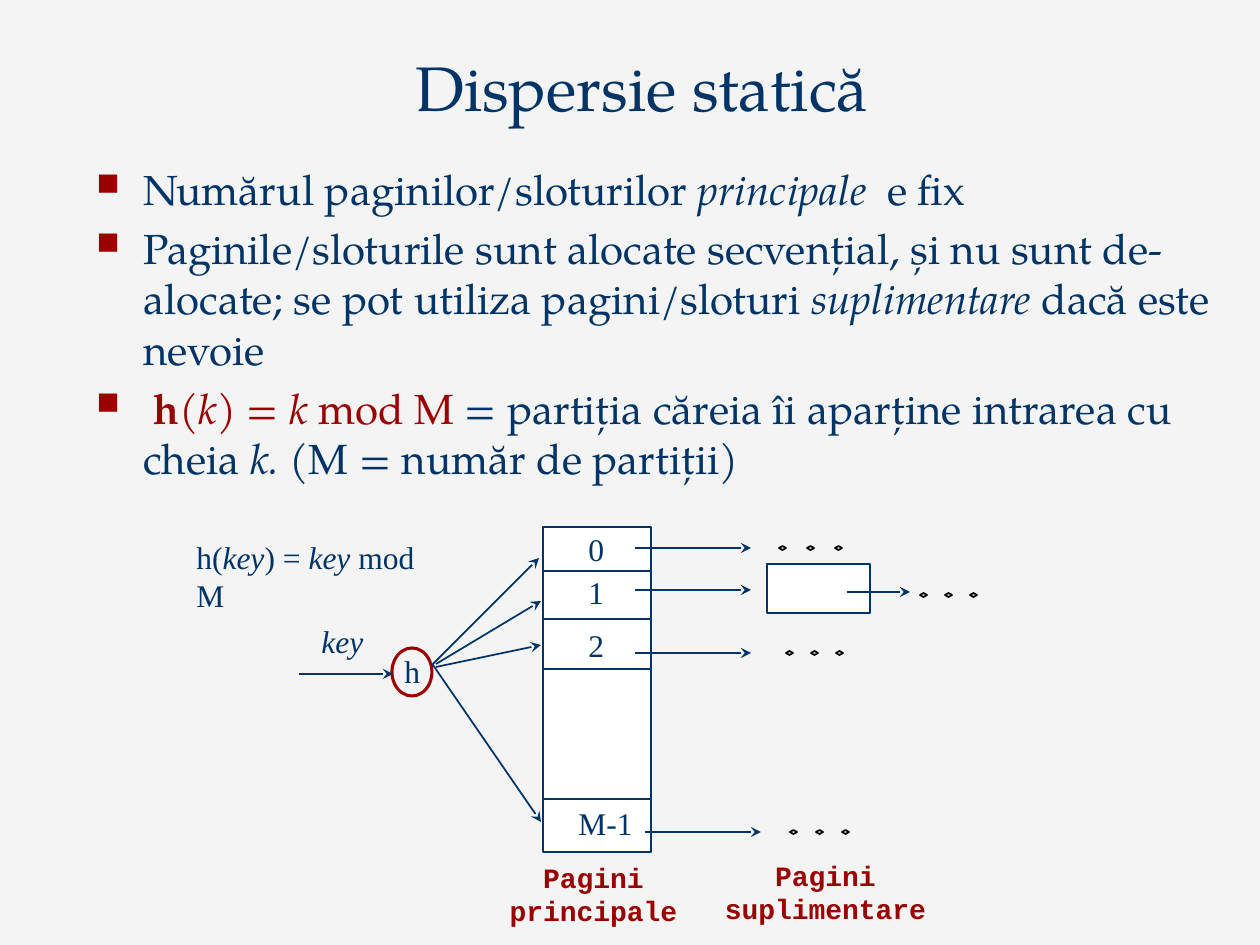
from lxml.etree import SubElement
from pptx import Presentation
from pptx.dml.color import RGBColor
from pptx.enum.shapes import MSO_CONNECTOR, MSO_SHAPE
from pptx.enum.text import MSO_ANCHOR, MSO_AUTO_SIZE, PP_ALIGN
from pptx.oxml.ns import qn
from pptx.util import Emu, Pt

COLORS = {"paper": "F4F4F4", "navy": "003366", "red": "9A0000",
          "white": "FFFFFF", "black": "000000"}
SERIF, DIAGRAM, MONO = "TeX Gyre Pagella", "Times New Roman", "Courier New"


def px(n):
    return Emu(round(n * 914400 / 126))


def rgb(name):
    return RGBColor.from_string(COLORS[name])


class SlideBuilder:
    def __init__(self, prs):
        self.slide = prs.slides.add_slide(prs.slide_layouts[5])
        self.shapes = self.slide.shapes
        background = self.slide.background.fill
        background.solid()
        background.fore_color.rgb = rgb("paper")

    def style(self, font, name, size, color, bold=None):
        font.name, font.size, font.bold = name, Pt(size), bold
        font.color.rgb = rgb(color)

    def fill_paragraph(self, paragraph, content):
        """Content is a string, or (text, flags[, color]) runs; flags: i, b."""
        if isinstance(content, str):
            paragraph.text = content
            return
        for text, flags, *color in content:
            run = paragraph.add_run()
            run.text = text
            if "i" in flags:
                run.font.italic = True
            if "b" in flags:
                run.font.bold = True
            if color:
                run.font.color.rgb = rgb(color[0])

    def title(self, text, x, y, w, h):
        title = self.shapes.title
        title.left, title.top, title.width, title.height = map(px, (x, y, w, h))
        frame = title.text_frame
        frame.text = text
        frame.vertical_anchor = MSO_ANCHOR.BOTTOM
        frame.auto_size = MSO_AUTO_SIZE.NONE
        frame.paragraphs[0].alignment = PP_ALIGN.CENTER
        self.style(frame.paragraphs[0].font, SERIF, 36, "navy")

    def bullets(self, items, x, y, w, h):
        frame = self.shapes.add_textbox(*map(px, (x, y, w, h))).text_frame
        frame.word_wrap = True
        for i, item in enumerate(items):
            paragraph = frame.paragraphs[0] if i == 0 else frame.add_paragraph()
            if i:
                paragraph.space_before = Pt(5)
            props = paragraph._p.get_or_add_pPr()
            props.set("marL", str(px(47)))
            props.set("indent", str(-px(47)))
            bullet_color = SubElement(props, qn("a:buClr"))
            SubElement(bullet_color, qn("a:srgbClr"), val=COLORS["red"])
            SubElement(props, qn("a:buSzPct"), val="75000")
            SubElement(props, qn("a:buChar"), char="■")
            self.style(paragraph.font, SERIF, 24, "navy")
            self.fill_paragraph(paragraph, item)

    def label(self, content, x, y, w, h=50, font=DIAGRAM, size=18,
              color="navy", bold=None, align=PP_ALIGN.LEFT):
        frame = self.shapes.add_textbox(*map(px, (x, y, w, h))).text_frame
        frame.word_wrap = False
        frame.auto_size = MSO_AUTO_SIZE.SHAPE_TO_FIT_TEXT
        paragraph = frame.paragraphs[0]
        paragraph.alignment = align
        self.style(paragraph.font, font, size, color, bold)
        self.fill_paragraph(paragraph, content)

    def shape(self, preset, x, y, w, h, line, weight, fill=None):
        shape = self.shapes.add_shape(preset, *map(px, (x, y, w, h)))
        shape.shadow.inherit = False
        shape.line.color.rgb = rgb(line)
        shape.line.width = Pt(weight)
        if fill:
            shape.fill.solid()
            shape.fill.fore_color.rgb = rgb(fill)
        else:
            shape.fill.background()

    def line(self, x1, y1, x2, y2, arrow=True):
        line = self.shapes.add_connector(MSO_CONNECTOR.STRAIGHT,
                                         *map(px, (x1, y1, x2, y2)))
        line.line.color.rgb = rgb("navy")
        line.line.width = Pt(1)
        if arrow:
            SubElement(line.line._get_or_add_ln(), qn("a:tailEnd"), type="stealth")
        SubElement(line._element.spPr, qn("a:effectLst"))

    def dots(self, x, y, step):
        for i in range(3):
            self.shape(MSO_SHAPE.DIAMOND, x + i * step, y, 7, 4, "black", 1)


def main():
    prs = Presentation()
    prs.slide_width, prs.slide_height = px(1260), px(945)
    page = SlideBuilder(prs)

    # Title and bullets
    page.title("Dispersie statică", 87, 40, 1110, 90)
    page.bullets([
        [("Numărul paginilor/sloturilor ", ""), ("principale ", "i"), (" e fix", "")],
        [("Paginile/sloturile sunt alocate secvențial, și nu sunt de-alocate; "
          "se pot utiliza pagini/sloturi ", ""),
         ("suplimentare", "i"), (" dacă este nevoie", "")],
        [(" h", "b", "red"), ("(", "", "red"), ("k", "i", "red"),
         (") = ", "", "red"), ("k", "i", "red"), (" mod M ", "", "red"),
         ("= partiția căreia îi aparține intrarea cu cheia", ""),
         (" k. ", "i"), ("(M = număr de partiții)", "")],
    ], 84, 157, 1166, 714)

    # Primary pages, one overflow page and the hash node
    stack_left, stack_right = 543, 651
    page.shape(MSO_SHAPE.RECTANGLE, 767, 564, 103, 49, "navy", 1, "white")
    page.shape(MSO_SHAPE.OVAL, 392, 648, 40, 48, "red", 1.75)
    page.shape(MSO_SHAPE.RECTANGLE, stack_left, 527, stack_right - stack_left,
               325, "navy", 1.5, "white")
    for y in (571, 619, 669, 799):
        page.line(stack_left, y, stack_right, y, arrow=False)

    # Page numbers and hash labels
    for number, x, y, w in (("0", 576, 524, 40), ("1", 576, 567, 40),
                            ("2", 576, 620, 40), ("M-1", 566, 798, 79)):
        page.label(number, x, y, w)
    page.label([("h(", ""), ("key", "i"), (") = ", ""), ("key", "i"),
                (" mod M", "")], 184, 532, 278)
    page.label("h", 392, 646, 40)
    page.label([("key", "i")], 309, 616, 67)

    # Arrows: key to hash, hash to pages, pages to overflow chains
    page.line(299, 674, 393, 674)
    for x1, y1, x2, y2 in ((432, 665, 539, 558), (436, 664, 541, 601),
                           (436, 667, 541, 645), (433, 665, 541, 822)):
        page.line(x1, y1, x2, y2)
    for x, y in ((635, 548), (635, 590), (635, 653), (645, 832)):
        page.line(x, y, x + 116, y)
    page.line(847, 592, 910, 592)

    # Continuation dots
    for x, y, step in ((779, 546, 28), (920, 593, 25),
                       (786, 651, 25), (790, 830, 26)):
        page.dots(x, y, step)

    # Column captions
    for caption, x, y, w in (("Pagini\vprincipale", 496, 854, 195),
                             ("Pagini\vsuplimentare", 711, 852, 229)):
        page.label(caption, x, y, w, 81, MONO, 16, "red", True, PP_ALIGN.CENTER)

    prs.save("out.pptx")


if __name__ == "__main__":
    main()
